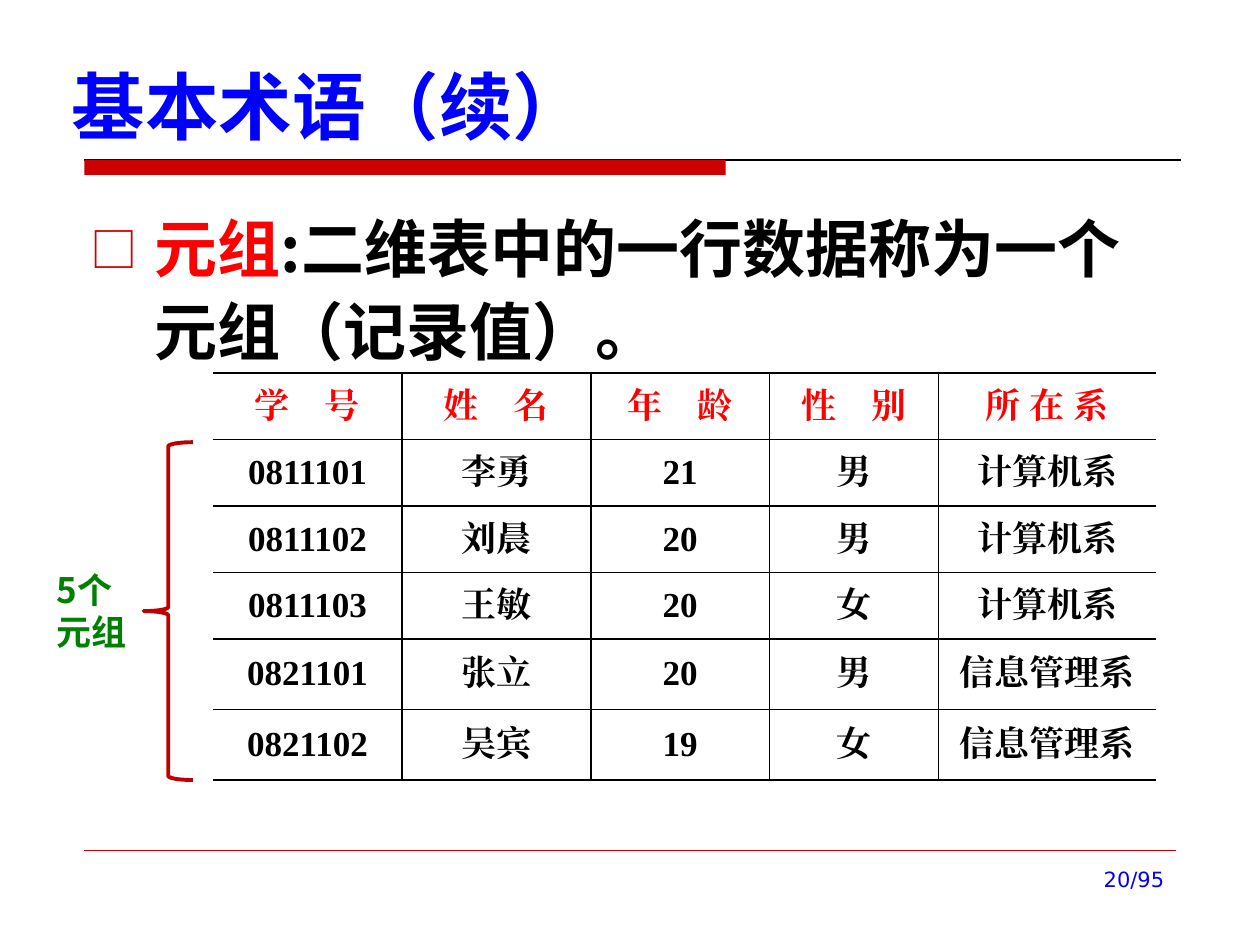
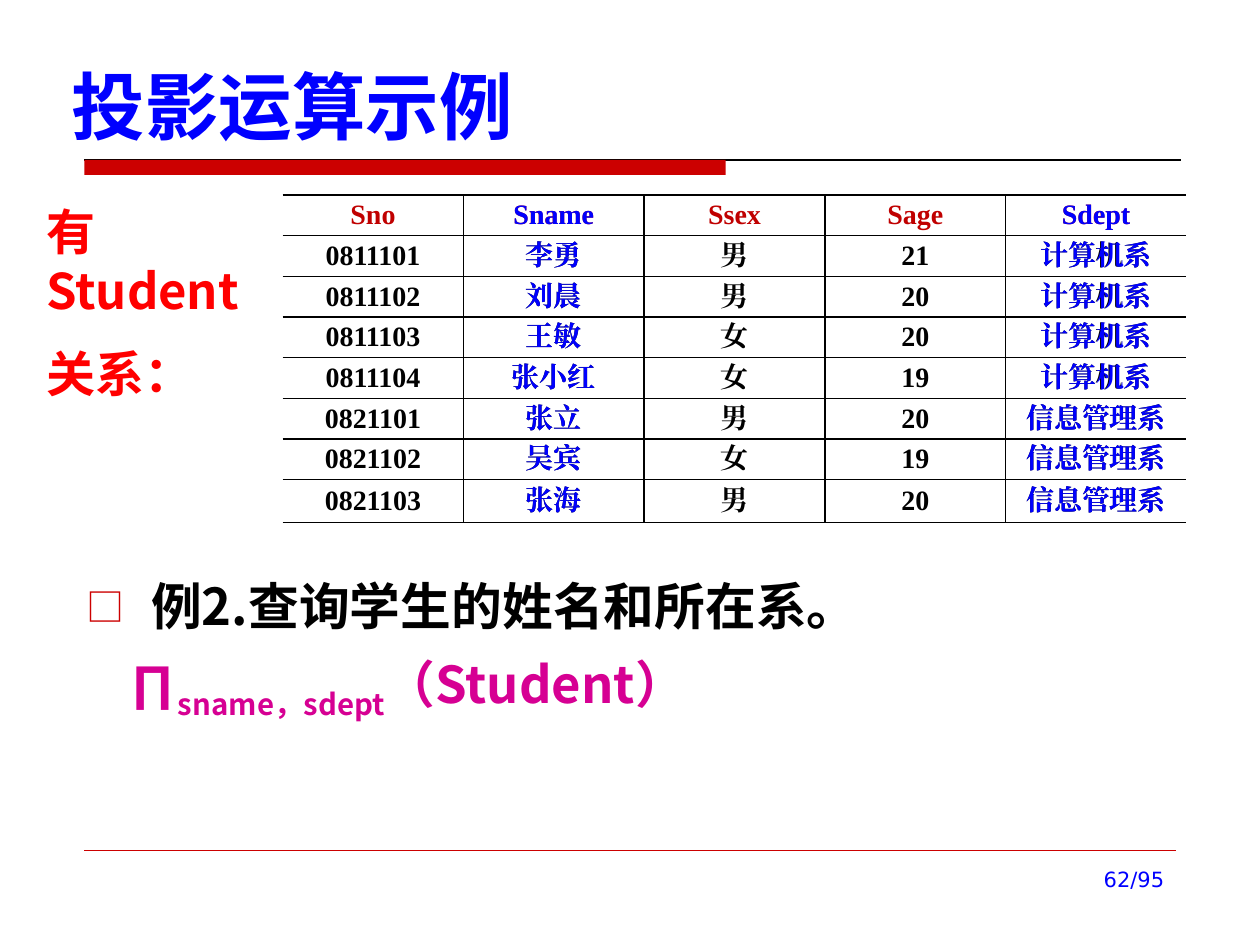
from lxml import etree
from pptx import Presentation
from pptx.dml.color import RGBColor
from pptx.enum.shapes import MSO_CONNECTOR, MSO_SHAPE
from pptx.enum.text import MSO_ANCHOR, MSO_AUTO_SIZE, PP_ALIGN
from pptx.oxml.ns import qn
from pptx.util import Pt

LEFT, CENTER, RIGHT = PP_ALIGN.LEFT, PP_ALIGN.CENTER, PP_ALIGN.RIGHT
TOP, MIDDLE, BOTTOM = MSO_ANCHOR.TOP, MSO_ANCHOR.MIDDLE, MSO_ANCHOR.BOTTOM
FIXED = MSO_AUTO_SIZE.NONE
STRAIGHT = MSO_CONNECTOR.STRAIGHT
RECT, BRACE = MSO_SHAPE.RECTANGLE, MSO_SHAPE.LEFT_BRACE

HAN, SERIF, SANS = "Noto Sans CJK SC", "Times New Roman", "DejaVu Sans"
BLACK, BLUE, RED, GREEN = "000000", "0000FF", "FF0000", "008000"
BAND, DARK, PINK = "CC0000", "C00000", "D60093"


def paint(color):
    return RGBColor.from_string(color)


def node(parent, tag, **attrs):
    return etree.SubElement(parent, qn(tag), attrs)


def write(para, text, size=20, color=BLACK, font=HAN, bold=True, base=0):
    """Add one run; base is the shift of a subscript in percent."""
    run = para.add_run()
    run.text = text
    run.font.size = Pt(size)
    run.font.bold = bold
    run.font.color.rgb = paint(color)
    run.font.name = font
    props = run.font._element
    node(props, "a:ea", typeface=font)
    if base:
        props.set("baseline", str(base * 1000))


def space(para, align=LEFT, before=0, after=0, lines=1.0):
    para.alignment = align
    para.space_before, para.space_after = Pt(before), Pt(after)
    para.line_spacing = lines


def indent(para, left, first=0, mark=None):
    """Set the indents, with a bullet sign or with none."""
    props = para._p.get_or_add_pPr()
    props.set("marL", str(Pt(left)))
    props.set("indent", str(Pt(first)))
    if mark:
        node(node(props, "a:buClr"), "a:srgbClr", val=BAND)
        node(props, "a:buSzPct", val="75000")
        node(props, "a:buFont", typeface=HAN)
        node(props, "a:buChar", char=mark)
    else:
        node(props, "a:buNone")


def border(cell, sides):
    """Draw black lines on the given sides (of LRTB) and none on the rest."""
    props = cell._tc.get_or_add_tcPr()
    for side in "LRTB":
        line = node(props, f"a:ln{side}", w=str(Pt(1)))
        if side in sides:
            node(node(line, "a:solidFill"), "a:srgbClr", val=BLACK)
        else:
            node(line, "a:noFill")


class Deck:
    def __init__(self):
        self.pres = Presentation()
        self.pres.slide_width, self.pres.slide_height = Pt(720), Pt(540)

    def start(self, title, page):
        """Open a slide with its title, band, foot line and page number."""
        self.slide = self.pres.slides.add_slide(self.pres.slide_layouts[1])
        self.line(48.2, 91.4, 674.6, BLACK, 0.75)
        self.shape(RECT, 48.2, 91.4, 366.5, 8.6, fill=BAND)
        self.line(48.2, 486, 671.8, BAND, 0.25)
        frame = self.holder(0, 33.8, 23.8, 578.9, 64.8, BOTTOM)
        space(frame.paragraphs[0])
        write(frame.paragraphs[0], title, size=42, color=BLUE)
        self.text(516.2, 491.8, 156.2, 37.4, [page], align=RIGHT,
                  size=12, color=BLUE, font=SANS, bold=False)

    def holder(self, index, x, y, wide, high, anchor=TOP):
        """Move a template placeholder and return its text frame."""
        box = self.slide.placeholders[index]
        box.left, box.top, box.width, box.height = map(Pt, (x, y, wide, high))
        frame = box.text_frame
        frame.auto_size, frame.vertical_anchor = FIXED, anchor
        return frame

    def body(self, x, y, wide, high, size, items):
        """Fill the body with items of runs; the first item has a bullet."""
        frame = self.holder(1, x, y, wide, high)
        for i, runs in enumerate(items):
            para = frame.add_paragraph() if i else frame.paragraphs[0]
            space(para, before=size / 5, lines=1.1)
            if i:
                indent(para, 23)
            else:
                indent(para, 36.7, -36.7, "□")
            for words, style in runs:
                write(para, words, size=size, **style)

    def text(self, x, y, wide, high, lines, align=LEFT, before=0, **style):
        box = self.slide.shapes.add_textbox(Pt(x), Pt(y), Pt(wide), Pt(high))
        frame = box.text_frame
        frame.word_wrap = True
        for i, words in enumerate(lines):
            para = frame.add_paragraph() if i else frame.paragraphs[0]
            space(para, align, before)
            write(para, words, **style)

    def shape(self, kind, x, y, wide, high, fill=None, color=None, width=1):
        item = self.slide.shapes.add_shape(kind, Pt(x), Pt(y), Pt(wide), Pt(high))
        item.shadow.inherit = False
        if fill:
            item.fill.solid()
            item.fill.fore_color.rgb = paint(fill)
        else:
            item.fill.background()
        if color:
            item.line.color.rgb = paint(color)
            item.line.width = Pt(width)
        else:
            item.line.fill.background()

    def line(self, x, y, end, color, width):
        """Draw a level line from x to end."""
        item = self.slide.shapes.add_connector(STRAIGHT, Pt(x), Pt(y), Pt(end), Pt(y))
        item.line.color.rgb = paint(color)
        item.line.width = Pt(width)
        node(item._element.spPr, "a:effectLst")

    def table(self, x, y, cols, rows, data, size, head, color=BLACK, bare="LR"):
        """Add a ruled table; bare names the outer sides without a line."""
        grid = self.slide.shapes.add_table(
            len(rows), len(cols), Pt(x), Pt(y), Pt(sum(cols)), Pt(sum(rows))).table
        grid.first_row = grid.horz_banding = False
        for col, wide in zip(grid.columns, cols):
            col.width = Pt(wide)
        for row, high in zip(grid.rows, rows):
            row.height = Pt(high)
        for r, values in enumerate(data):
            for c, value in enumerate(values):
                cell = grid.cell(r, c)
                cell.margin_left = cell.margin_right = Pt(5.4)
                cell.margin_top = cell.margin_bottom = 0
                cell.vertical_anchor = MIDDLE
                off = (bare if len(cols) == 1 else
                       "L" if c == 0 and "L" in bare else
                       "R" if c == len(cols) - 1 and "R" in bare else "")
                border(cell, set("LRTB") - set(off))
                cell.fill.background()
                para = cell.text_frame.paragraphs[0]
                space(para, CENTER, 2.4, 2.4)
                write(para, value, size=size, font=SERIF,
                      color=color if r else head)


def tuples(deck):
    deck.start("基本术语（续）", "20/95")
    deck.body(44.6, 111.6, 630, 124.6, 36, [
        [("元组", {"color": RED}),
         (":二维表中的一行数据称为一个元组（记录值）。", {})]])
    data = [
        ("学　号", "姓　名", "年　龄", "性　别", "所 在 系"),
        ("0811101", "李勇", "21", "男", "计算机系"),
        ("0811102", "刘晨", "20", "男", "计算机系"),
        ("0811103", "王敏", "20", "女", "计算机系"),
        ("0821101", "张立", "20", "男", "信息管理系"),
        ("0821102", "吴宾", "19", "女", "信息管理系"),
    ]
    deck.table(121.7, 213.1, [108, 108, 102, 96.5, 124.5],
               [38] * 4 + [40.3] * 2, data, 20, RED)
    deck.shape(BRACE, 82.1, 252.7, 28.1, 193, color=DARK, width=2.25)
    deck.text(25.2, 321.1, 56.9, 55.4, ["5个", "元组"], color=GREEN)


def project(deck):
    deck.start("投影运算示例", "62/95")
    deck.body(42.5, 321.1, 499, 113, 29, [
        [("例2.查询学生的姓名和所在系。", {})],
        [("∏", {"color": PINK}),
         ("sname，sdept", {"color": PINK, "base": -25}),
         ("（Student）", {"color": PINK})]])
    deck.text(19.4, 111.6, 141.8, 91.4, ["有Student", "关系："],
              before=14, size=28, color=RED)
    data = [
        ("Sno", "Sname", "Ssex", "Sage", "Sdept"),
        ("0811101", "李勇", "男", "21", "计算机系"),
        ("0811102", "刘晨", "男", "20", "计算机系"),
        ("0811103", "王敏", "女", "20", "计算机系"),
        ("0811104", "张小红", "女", "19", "计算机系"),
        ("0821101", "张立", "男", "20", "信息管理系"),
        ("0821102", "吴宾", "女", "19", "信息管理系"),
        ("0821103", "张海", "男", "20", "信息管理系"),
    ]
    x, y, wide = 161.5, 111.4, 103.3
    rows = [23.25] * 7 + [24.5]
    deck.table(x, y, [wide] * 5, rows, data, 16, DARK)
    for c, bare in ((1, ""), (4, "R")):
        picked = [row[c:c + 1] for row in data]
        deck.table(x + c * wide, y, [wide], rows, picked, 16, BLUE, BLUE, bare)


def main():
    deck = Deck()
    tuples(deck)
    project(deck)
    deck.pres.save("out.pptx")


if __name__ == "__main__":
    main()
